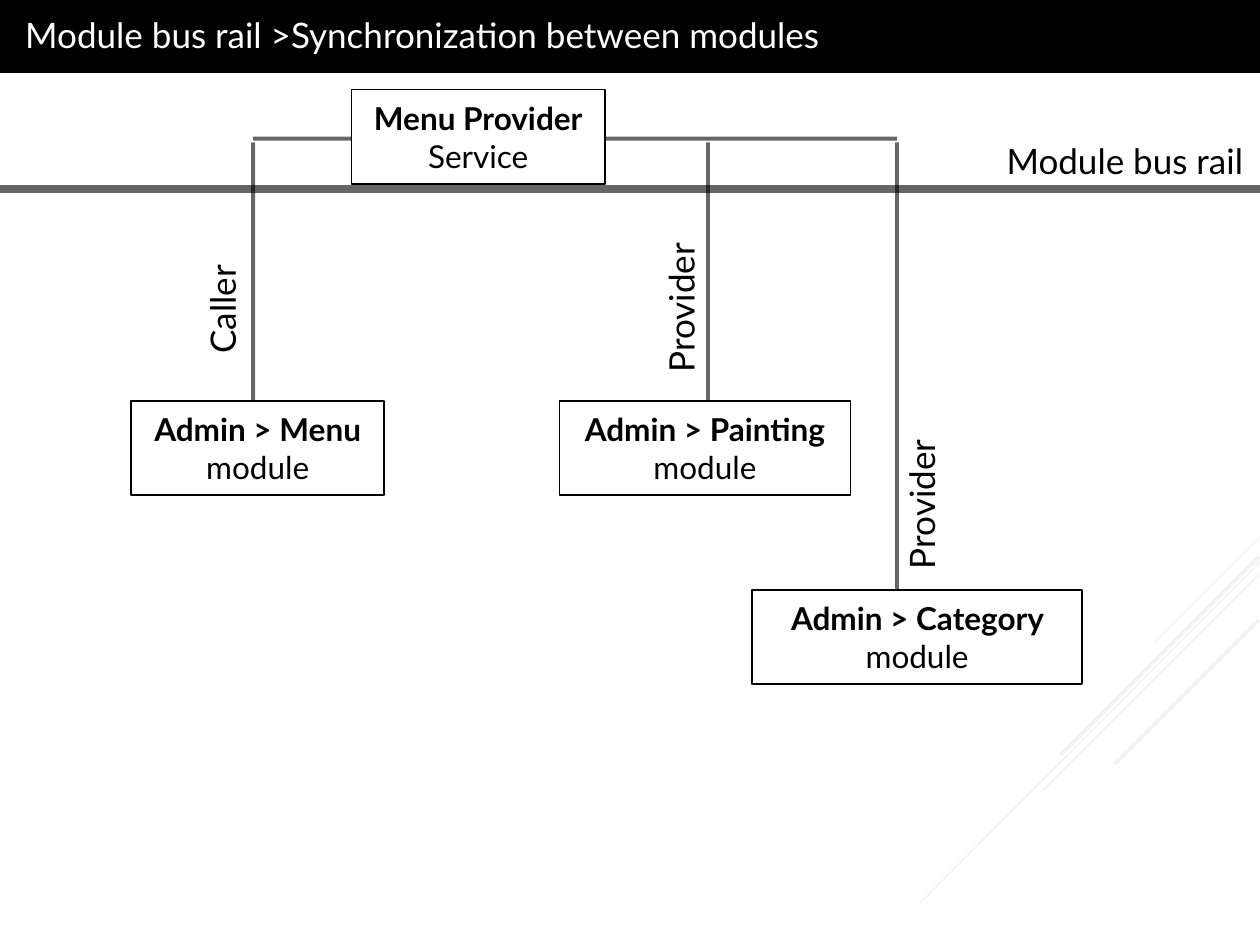
from lxml.etree import SubElement
from pptx import Presentation
from pptx.dml.color import RGBColor
from pptx.enum.shapes import MSO_CONNECTOR, MSO_SHAPE
from pptx.enum.text import MSO_ANCHOR, MSO_AUTO_SIZE, PP_ALIGN
from pptx.oxml.ns import qn
from pptx.util import Pt

COLORS = {"black": "000000", "white": "FFFFFF", "pale": "F2F2F2"}
FONT = "Lato"


def write(sp, text, size=20, color="black", bold=False, align=PP_ALIGN.LEFT,
          anchor=MSO_ANCHOR.TOP, wrap=True, tail="", new_par=False):
    tf = sp.text_frame
    tf.word_wrap = wrap
    tf.auto_size = MSO_AUTO_SIZE.NONE
    tf.vertical_anchor = anchor
    p = tf.paragraphs[0]
    for words, weight in ((text, bold), (tail, False)):
        if not words:
            continue
        if new_par and words == tail:
            p = tf.add_paragraph()
        p.alignment = align
        r = p.add_run()
        r.text = words
        r.font.name = FONT
        r.font.size = Pt(size)
        r.font.bold = weight
        r.font.color.rgb = RGBColor.from_string(COLORS[color])


def draw_line(x1, y1, x2, y2, width, color="black", alpha=None):
    ln = s.shapes.add_connector(MSO_CONNECTOR.STRAIGHT, Pt(x1), Pt(y1), Pt(x2), Pt(y2))
    ln.line.width = Pt(width)
    ln.line.color.rgb = RGBColor.from_string(COLORS[color])
    sp_pr = ln.element.spPr
    if alpha:
        clr = sp_pr.find(".//" + qn("a:srgbClr"))
        SubElement(clr, qn("a:alpha"), val=str(alpha * 1000))
    SubElement(sp_pr, qn("a:effectLst"))


prs = Presentation()
prs.slide_width, prs.slide_height = Pt(720), Pt(540)
s = prs.slides.add_slide(prs.slide_layouts[5])

for x1, y1, x2, y2, width in (
    (720, 306.7, 660.2, 366.5, 0.75),
    (720, 321.1, 525.6, 516.2, 0.75),
    (720, 327.6, 596.2, 451.4, 0.75),
    (719.3, 318.2, 606.2, 431.3, 2.25),
    (719.3, 354.2, 637.2, 436.3, 2.25),
):
    draw_line(x1, y1, x2, y2, width, color="pale")

bar = s.shapes.add_shape(MSO_SHAPE.RECTANGLE, Pt(-0.7), Pt(-2.2), Pt(720.7), Pt(43.9))
bar.shadow.inherit = False
bar.fill.solid()
bar.fill.fore_color.rgb = RGBColor.from_string(COLORS["black"])
bar.line.fill.background()

title = s.shapes.title
title.left, title.top, title.width, title.height = Pt(7.2), Pt(4.3), Pt(478.8), Pt(31.7)
write(title, "Module bus rail >Synchronization between modules", color="white", wrap=False)
title.element.addprevious(bar.element)

caller_x, painting_x, category_x = 144.7, 404.6, 512.6
link_y, drop_y, rail_y = 79.2, 81.4, 108
row1_y, row2_y = 229, 337

draw_line(category_x, link_y, caller_x, link_y, 2.25, alpha=60)
draw_line(0, rail_y, 720, rail_y, 4.5, alpha=60)
for x, bottom in ((caller_x, row1_y), (painting_x, row1_y), (category_x, row2_y)):
    draw_line(x, drop_y, x, bottom, 2.25, alpha=60)

for text, x, y, w, rotation in (
    ("Module bus rail", 568.1, 76.3, 153.4, 0),
    ("Caller", 74.9, 141.1, 104.4, 270),
    ("Provider", 337, 151.9, 104.4, 270),
    ("Provider", 474.5, 264.2, 104.4, 270),
):
    sp = s.shapes.add_textbox(Pt(x), Pt(y), Pt(w), Pt(31.7))
    sp.rotation = rotation
    write(sp, text, wrap=rotation != 0)

for name, kind, x, y, w, filled in (
    ("Menu Provider", "Service", 200.9, 51.1, 144.7, True),
    ("Admin > Menu ", "module", 74.9, row1_y, 144.7, False),
    ("Admin > Painting ", "module", 319.7, row1_y, 166.3, False),
    ("Admin > Category ", "module", 429.8, row2_y, 188.6, False),
):
    sp = s.shapes.add_shape(MSO_SHAPE.RECTANGLE, Pt(x), Pt(y), Pt(w), Pt(54))
    sp.shadow.inherit = False
    if filled:
        sp.fill.solid()
        sp.fill.fore_color.rgb = RGBColor.from_string(COLORS["white"])
    else:
        sp.fill.background()
    sp.line.width = Pt(1)
    sp.line.color.rgb = RGBColor.from_string(COLORS["black"])
    write(sp, name, size=18, bold=True, align=PP_ALIGN.CENTER,
          anchor=MSO_ANCHOR.MIDDLE, tail=kind, new_par=filled)

prs.save("out.pptx")
